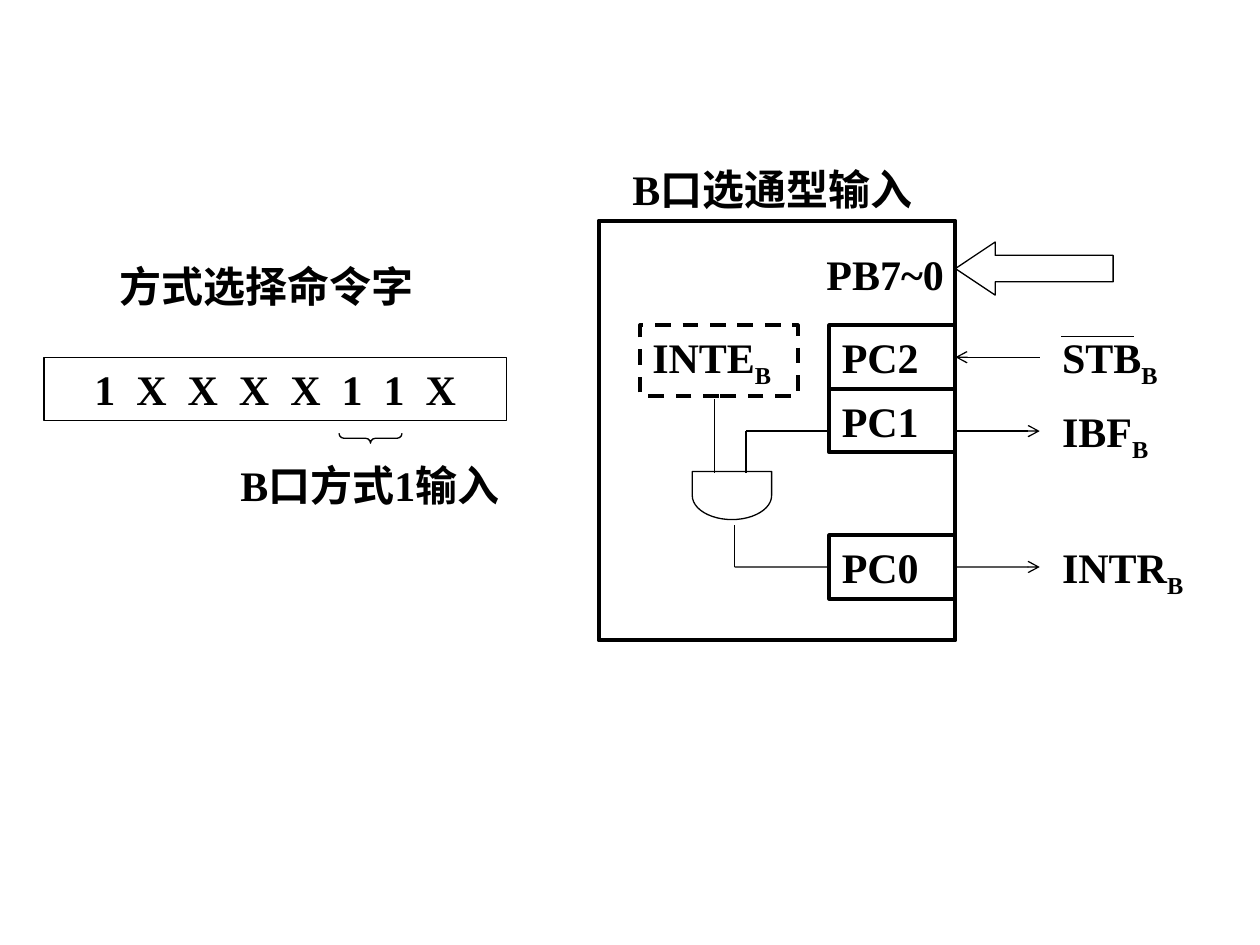
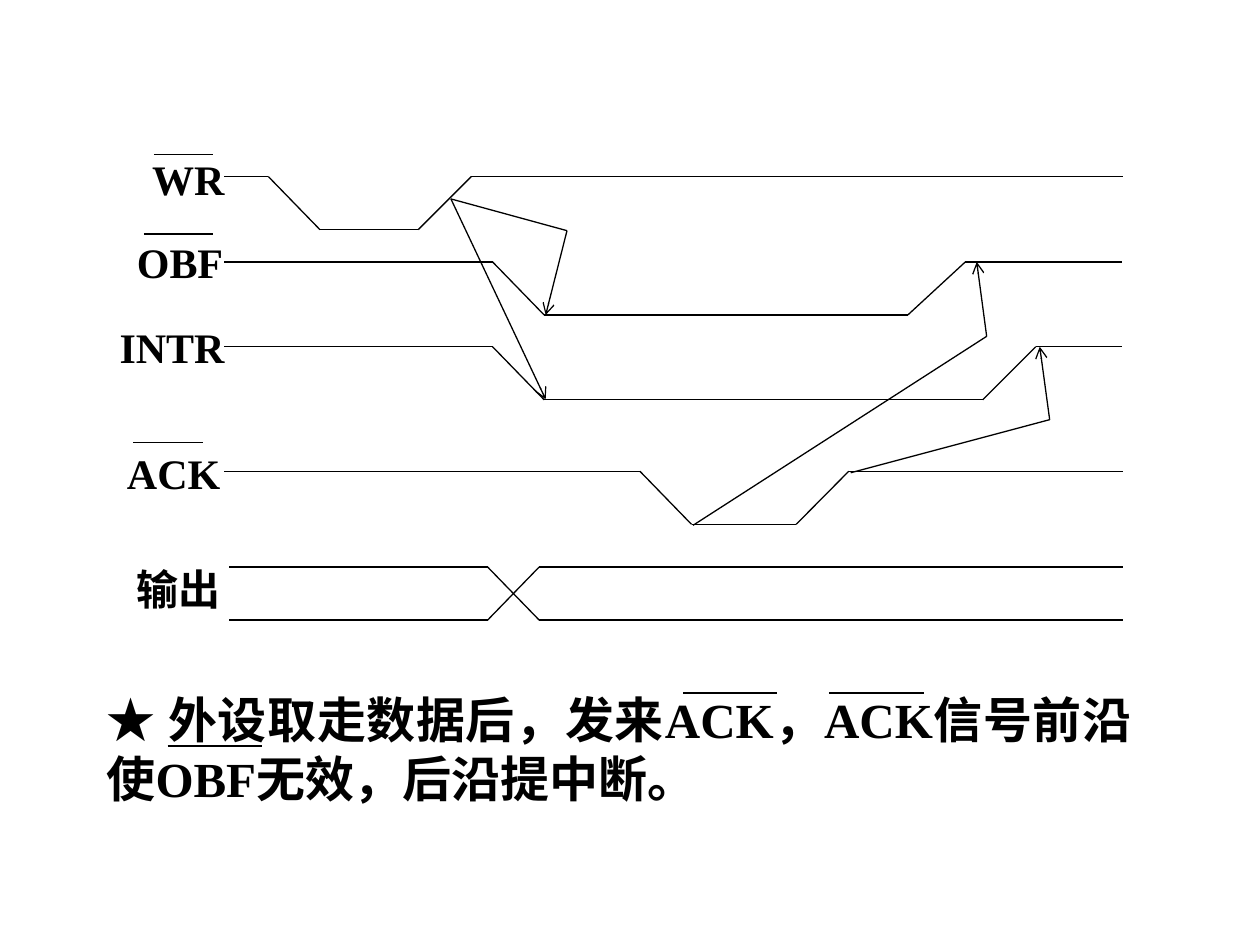
"""Build two slides on strobed port I/O: a port B diagram and an output timing chart."""
from dataclasses import dataclass
from itertools import pairwise
from typing import Any, Optional, Sequence

import lxml.etree
import pptx
import pptx.dml.color
import pptx.enum.dml
import pptx.enum.shapes
import pptx.enum.text
import pptx.oxml.ns
import pptx.util

Cm = pptx.util.Cm
Pt = pptx.util.Pt
Kind = pptx.enum.shapes.MSO_SHAPE
Align = pptx.enum.text.PP_ALIGN
Point = tuple[float, float]


@dataclass(frozen=True)
class Theme:
    ink: Any = pptx.dml.color.RGBColor(0, 0, 0)
    paper: Any = pptx.dml.color.RGBColor(255, 255, 255)
    font: str = "Times New Roman"
    body: float = 24
    note: float = 28
    gap: float = 15
    thin: float = 0.75
    thick: float = 2.25


@dataclass(frozen=True)
class Label:
    text: str
    left: float
    top: float
    width: float
    height: float = 1.27
    sub: str = ""
    align: Any = Align.LEFT
    size: float = Theme.body
    gap: float = Theme.gap


@dataclass(frozen=True)
class Wave:
    top: float
    turns: Sequence[float]
    levels: str = "HHLLHH"


@dataclass(frozen=True)
class Bar:
    left: float
    right: float
    y: float


THEME = Theme()
DROP = 1.07
EDGE = 19.26
TIP = 20.96


def write(shape: Any, label: Label) -> None:
    frame = shape.text_frame
    frame.word_wrap = True
    frame.auto_size = pptx.enum.text.MSO_AUTO_SIZE.SHAPE_TO_FIT_TEXT
    frame.vertical_anchor = pptx.enum.text.MSO_ANCHOR.TOP
    frame.text = label.text
    para = frame.paragraphs[0]
    para.alignment = label.align
    para.space_before = Pt(label.gap)
    if label.sub:
        low = para.add_run()
        low.text = label.sub
        low.font._element.set("baseline", "-25000")
    for run in para.runs:
        run.font.name = THEME.font
        run.font.size = Pt(label.size)
        run.font.bold = True
        run.font.color.rgb = THEME.ink


def add_text(slide: Any, label: Label) -> None:
    box = slide.shapes.add_textbox(Cm(label.left), Cm(label.top), Cm(label.width), Cm(label.height))
    write(box, label)


def add_form(slide: Any, kind: Any, left: float, top: float, width: float, height: float,
             weight: float = THEME.thin, turn: float = 0) -> Any:
    form = slide.shapes.add_shape(kind, Cm(left), Cm(top), Cm(width), Cm(height))
    form.shadow.inherit = False
    form.fill.background()
    form.line.color.rgb = THEME.ink
    form.line.width = Pt(weight)
    form.rotation = turn
    return form


def add_box(slide: Any, label: Label, weight: float = THEME.thick) -> Any:
    box = add_form(slide, Kind.RECTANGLE, label.left, label.top, label.width, label.height, weight)
    write(box, label)
    return box


def add_line(slide: Any, start: Point, end: Point, arrow: Optional[str] = None) -> Any:
    line = slide.shapes.add_connector(pptx.enum.shapes.MSO_CONNECTOR.STRAIGHT,
                                      *(Cm(value) for value in start + end))
    line.line.color.rgb = THEME.ink
    line.line.width = Pt(THEME.thin)
    if arrow:
        mark = lxml.etree.SubElement(line.line._get_or_add_ln(), pptx.oxml.ns.qn(f"a:{arrow}"))
        mark.set("type", "arrow")
    lxml.etree.SubElement(line._element.spPr, pptx.oxml.ns.qn("a:effectLst"))
    return line


def add_chain(slide: Any, points: Sequence[Point], arrow: Optional[str] = None) -> Any:
    line = None
    for start, end in pairwise(points):
        line = add_line(slide, start, end, arrow if end == points[-1] else None)
    return line


def add_wave(slide: Any, wave: Wave) -> None:
    add_chain(slide, [(x, wave.top + DROP * (level == "L"))
                      for x, level in zip(wave.turns, wave.levels)])


def add_bar(slide: Any, bar: Bar) -> None:
    add_line(slide, (bar.left, bar.y), (bar.right, bar.y))


def add_slide(deck: Any) -> Any:
    slide = deck.slides.add_slide(deck.slide_layouts[6])
    slide.background.fill.solid()
    slide.background.fill.fore_color.rgb = THEME.paper
    return slide


def draw_port(deck: Any) -> None:
    slide = add_slide(deck)
    add_form(slide, Kind.RECTANGLE, 12.07, 4.45, 7.19, 8.46, THEME.thick)
    pins = [add_box(slide, Label(name, 16.72, top, 2.54, 1.28))
            for name, top in (("PC2", 6.56), ("PC1", 7.84), ("PC0", 10.79))]

    add_form(slide, Kind.FLOWCHART_DELAY, 14.27, 9.19, 0.97, 1.6, turn=90)
    add_line(slide, (14.4, 8.05), (14.4, 9.53))
    add_chain(slide, [(15.04, 9.53), (15.04, 8.69), (16.72, 8.69)])
    out = add_chain(slide, [(14.81, 10.59), (14.81, 11.43), (16.72, 11.43)])
    out.end_connect(pins[2], 1)
    mask = add_box(slide, Label("INTE", 12.9, 6.56, 3.18, 1.42, "B"))
    mask.line.dash_style = pptx.enum.dml.MSO_LINE.DASH

    strobe = add_line(slide, (EDGE, 7.2), (TIP, 7.2), "headEnd")
    strobe.begin_connect(pins[0], 3)
    add_line(slide, (EDGE, 8.69), (TIP, 8.69), "tailEnd")
    request = add_line(slide, (EDGE, 11.43), (TIP, 11.43), "tailEnd")
    request.begin_connect(pins[2], 3)
    add_bar(slide, Bar(21.39, 22.86, 6.78))
    data = add_form(slide, Kind.LEFT_ARROW, EDGE, 4.88, 3.18, 1.07)
    data.adjustments[0], data.adjustments[1] = 0.5, 0.75

    code = add_box(slide, Label("1 X X X X 1 1 X", 0.89, 7.21, 9.32, align=Align.CENTER), THEME.thin)
    code.text_frame.paragraphs[0].runs[0].font._element.set("spc", "300")
    brace = add_form(slide, Kind.LEFT_BRACE, 7.37, 8.2, 0.2, 1.27, turn=270)
    brace.adjustments[0] = 0.5

    for name, top in (("STB", 6.56), ("IBF", 8.05), ("INTR", 10.8)):
        add_text(slide, Label(name, 21.16, top, 4.2, 1.42, "B"))
    for label in (
        Label("PB7~0", 15.04, 4.88, 4.24, align=Align.RIGHT),
        Label("B口选通型输入", 12.5, 3.18, 7.19),
        Label("B口方式1输入", 3.86, 9.14, 7.19, align=Align.CENTER),
        Label("方式选择命令字", 2.16, 5.13, 7.19),
    ):
        add_text(slide, label)


def draw_timing(deck: Any) -> None:
    slide = add_slide(deck)
    for label in (
        Label("WR", 2.82, 2.97, 3.71),
        Label("OBF", 2.51, 4.65, 3.71),
        Label("INTR", 2.16, 6.35, 4.57),
        Label("ACK", 2.31, 8.89, 2.84),
        Label("输出", 1.7, 11.23, 3.78, align=Align.CENTER),
        Label("★ 外设取走数据后，发来ACK，ACK信号前沿使OBF无效，后沿提中断。",
              1.9, 13.77, 21.16, 2.64, align=Align.JUSTIFY, size=THEME.note, gap=0),
    ):
        add_text(slide, label)

    swap = (4.62, 9.83, 10.87, 22.63)
    for wave in (
        Wave(3.56, (4.52, 5.41, 6.45, 8.43, 9.5, 22.63)),
        Wave(5.28, (4.52, 9.93, 10.97, 18.3, 19.46, 22.61)),
        Wave(6.99, (4.52, 9.93, 10.97, 19.81, 20.88, 22.61)),
        Wave(9.5, (4.52, 12.9, 13.94, 16.05, 17.11, 22.63)),
        Wave(11.43, swap, "HHLL"),
        Wave(11.43, swap, "LLHH"),
    ):
        add_wave(slide, wave)

    for points in (
        [(9.09, 4.01), (11.43, 4.65), (11, 6.35)],
        [(9.09, 4.01), (11, 8.05)],
        [(13.97, 10.59), (19.89, 6.78), (19.69, 5.28)],
        [(17.15, 9.53), (21.16, 8.46), (20.96, 6.99)],
    ):
        add_chain(slide, points, "tailEnd")

    for bar in (
        Bar(3.1, 4.29, 3.12),
        Bar(2.9, 4.29, 4.72),
        Bar(2.69, 4.09, 8.92),
        Bar(13.77, 15.67, 13.97),
        Bar(16.71, 18.62, 13.97),
        Bar(3.38, 5.28, 15.04),
    ):
        add_bar(slide, bar)


def main() -> None:
    deck = pptx.Presentation()
    deck.slide_width, deck.slide_height = Cm(25.4), Cm(19.05)
    draw_port(deck)
    draw_timing(deck)
    deck.save("out.pptx")


if __name__ == "__main__":
    main()
